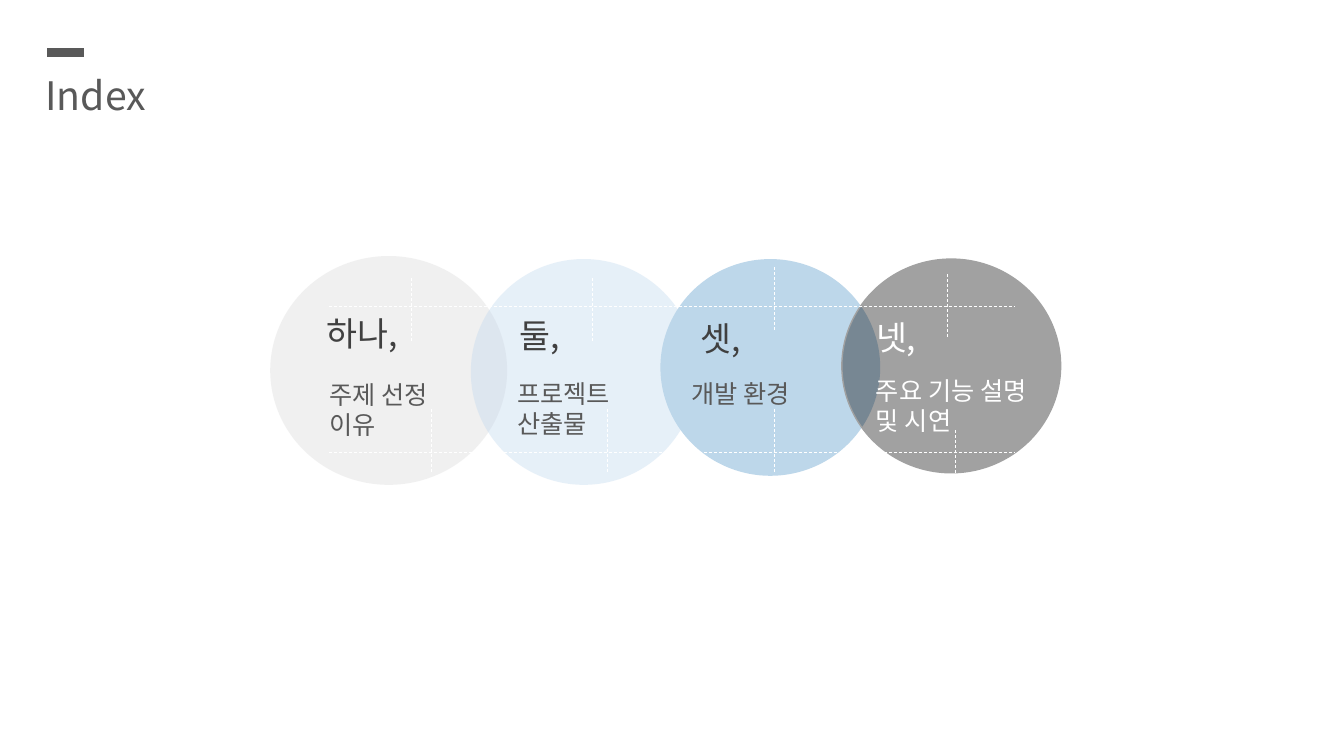
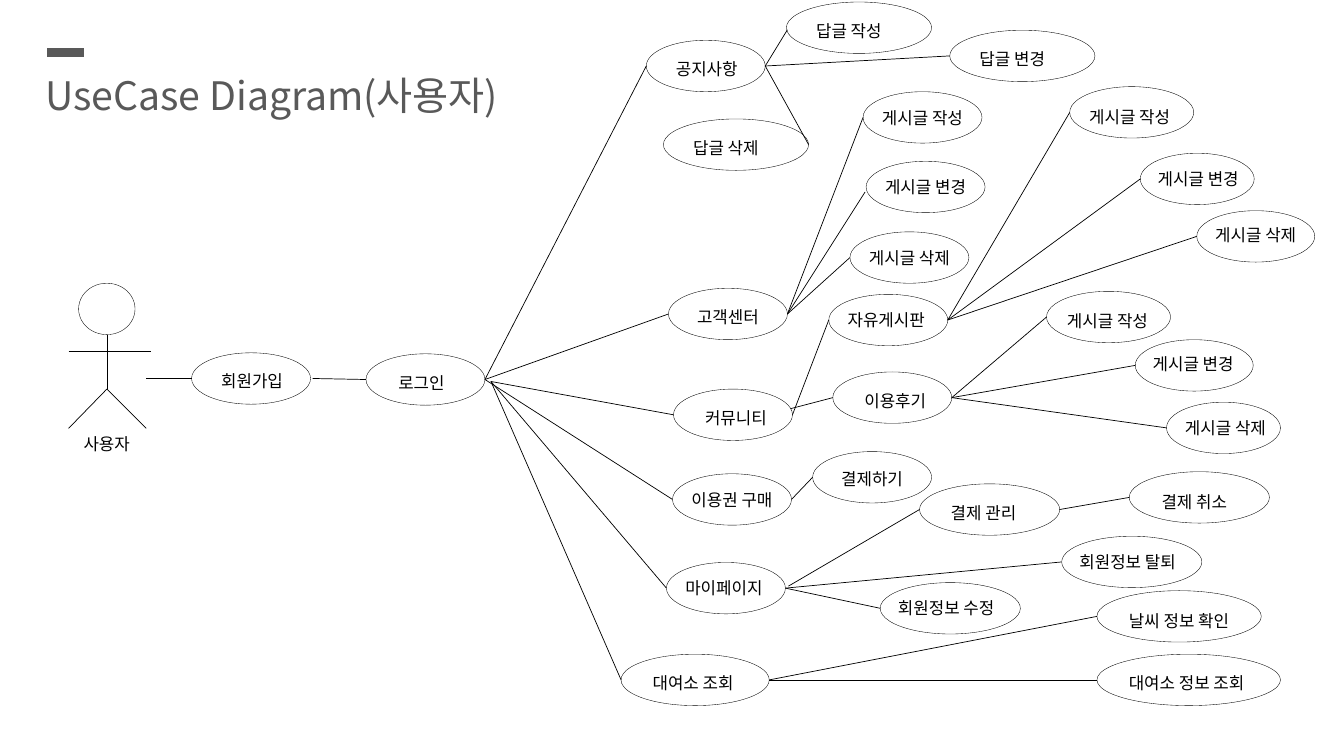
from dataclasses import dataclass
from typing import NamedTuple

from lxml.etree import SubElement
from pptx import Presentation
from pptx.dml.color import RGBColor
from pptx.enum.dml import MSO_LINE
from pptx.enum.shapes import MSO_CONNECTOR, MSO_SHAPE
from pptx.enum.text import MSO_ANCHOR, MSO_AUTO_SIZE, PP_ALIGN
from pptx.oxml.ns import qn
from pptx.util import Inches, Pt

FONT = "Noto Sans CJK KR"
BLACK = RGBColor(0x00, 0x00, 0x00)
WHITE = RGBColor(0xFF, 0xFF, 0xFF)
DARK = RGBColor(0x40, 0x40, 0x40)
GRAY = RGBColor(0x59, 0x59, 0x59)
MID_GRAY = RGBColor(0xA1, 0xA1, 0xA1)
LIGHT_GRAY = RGBColor(0xD9, 0xD9, 0xD9)
PALE_BLUE = RGBColor(0xBD, 0xD7, 0xEE)
SKY_BLUE = RGBColor(0xBD, 0xD7, 0xEA)

OVAL_HEIGHT = 0.51
TICK_LENGTH = 0.63


class Point(NamedTuple):
    x: float
    y: float


class Box(NamedTuple):
    left: float
    top: float
    width: float
    height: float


@dataclass(frozen=True)
class Chapter:
    circle: Box
    fill: RGBColor
    alpha: int
    heading: str
    heading_at: Point
    heading_color: RGBColor
    topic: str
    topic_box: Box
    topic_color: RGBColor
    outline: RGBColor | None = None


@dataclass(frozen=True)
class UseCase:
    label: str
    left: float
    top: float
    width: float = 1.18
    shift: Point = Point(0, 0)  # label offset from the oval's centre

    @property
    def left_end(self) -> Point:
        return Point(self.left, self.top + OVAL_HEIGHT / 2)

    @property
    def right_end(self) -> Point:
        return Point(self.left + self.width, self.top + OVAL_HEIGHT / 2)


class Link(NamedTuple):
    source: str
    target: str
    source_shift: Point = Point(0, 0)
    target_shift: Point = Point(0, 0)
    to_right_end: bool = False


CHAPTERS = [
    Chapter(Box(2.68, 2.54, 2.35, 2.27), LIGHT_GRAY, 37, "하나,", Point(3.14, 3.06), DARK,
            "주제 선정 이유", Box(3.17, 3.71, 1.38, 0.71), GRAY),
    Chapter(Box(4.67, 2.57, 2.24, 2.24), PALE_BLUE, 37, "둘,", Point(5.05, 3.08), DARK,
            "프로젝트\n산출물", Box(5.03, 3.7, 1.73, 0.71), GRAY),
    Chapter(Box(6.55, 2.57, 2.18, 2.15), SKY_BLUE, 100, "셋,", Point(6.85, 3.1), DARK,
            "개발 환경", Box(6.76, 3.7, 1.73, 0.4), GRAY),
    Chapter(Box(8.35, 2.57, 2.17, 2.12), BLACK, 37, "넷,", Point(8.59, 3.09), WHITE,
            "주요 기능 설명 및 시연", Box(8.59, 3.67, 1.94, 0.73), WHITE, MID_GRAY),
]
GUIDE_ROWS = [3.04, 4.49]
TICKS = [Point(4.08, 2.76), Point(5.88, 2.76), Point(7.68, 2.65), Point(9.4, 2.72),
         Point(4.28, 4.06), Point(6.02, 4.06), Point(7.68, 4.06), Point(9.48, 4.27)]

USE_CASES = {
    "join": UseCase("회원가입", 1.9, 3.5, shift=Point(0.01, 0.02)),
    "login": UseCase("로그인", 3.63, 3.51, shift=Point(-0.04, 0.03)),
    # Notices and replies
    "notice": UseCase("공지사항", 6.41, 0.4, shift=Point(0.01, 0.03)),
    "reply_write": UseCase("답글 작성", 7.8, 0.02, 1.44, Point(-0.1, 0.03)),
    "reply_edit": UseCase("답글 변경", 9.42, 0.3, 1.44, Point(-0.1, 0.03)),
    "reply_delete": UseCase("답글 삭제", 6.58, 1.18, 1.44, Point(-0.1, 0.03)),
    # Customer centre
    "support": UseCase("고객센터", 6.63, 2.86, shift=Point(0, 0.03)),
    "support_write": UseCase("게시글 작성", 8.56, 0.91),
    "support_edit": UseCase("게시글 변경", 8.59, 1.6),
    "support_delete": UseCase("게시글 삭제", 8.43, 2.3),
    # Community
    "community": UseCase("커뮤니티", 6.68, 3.86, shift=Point(0.03, 0.03)),
    "board": UseCase("자유게시판", 8.22, 2.92, shift=Point(-0.02, 0)),
    "board_write": UseCase("게시글 작성", 10.61, 0.86, 1.23, Point(-0.02, 0.04)),
    "board_edit": UseCase("게시글 변경", 11.31, 1.52, 1.13, Point(0.01, 0)),
    "board_delete": UseCase("게시글 삭제", 11.87, 2.09, 1.17, Point(0, -0.02)),
    "review": UseCase("이용후기", 8.26, 3.69, shift=Point(0.03, 0.03)),
    "review_write": UseCase("게시글 작성", 10.38, 2.89, 1.23, Point(-0.01, 0.04)),
    "review_edit": UseCase("게시글 변경", 11.26, 3.37, 1.17, Point(-0.01, -0.02)),
    "review_delete": UseCase("게시글 삭제", 11.57, 3.99, 1.13, Point(0.02, 0)),
    # Tickets
    "ticket": UseCase("이용권 구매", 6.67, 4.7),
    "pay": UseCase("결제하기", 8.06, 4.48, shift=Point(0, 0.02)),
    # My page
    "my_page": UseCase("마이페이지", 6.61, 5.58, shift=Point(-0.02, 0)),
    "payments": UseCase("결제 관리", 9.12, 4.8, 1.39, Point(-0.06, 0.03)),
    "pay_cancel": UseCase("결제 취소", 11.2, 4.68, 1.39, Point(-0.05, 0.04)),
    "withdraw": UseCase("회원정보 탈퇴", 10.53, 5.32, 1.39, Point(-0.04, 0)),
    "profile": UseCase("회원정보 수정", 8.73, 5.78, 1.39, Point(-0.04, 0)),
    # Rental stations
    "station": UseCase("대여소 조회", 6.16, 6.49, 1.47, Point(-0.02, 0.03)),
    "weather": UseCase("날씨 정보 확인", 10.88, 5.86, 1.63, Point(0, 0.04)),
    "station_info": UseCase("대여소 정보 조회", 10.88, 6.49, 1.82, Point(-0.02, 0.03)),
}

LOGIN_SHIFT = Point(0.06, 0.02)
LINKS = [
    Link("join", "login", Point(0.02, 0)),
    Link("login", "notice"),
    Link("login", "support"),
    Link("login", "community", LOGIN_SHIFT),
    Link("login", "ticket"),
    Link("login", "my_page", LOGIN_SHIFT),
    Link("login", "station", LOGIN_SHIFT),
    Link("notice", "reply_write", target_shift=Point(0.01, 0.02)),
    Link("notice", "reply_edit"),
    Link("notice", "reply_delete", to_right_end=True),
    Link("support", "support_write"),
    Link("support", "support_edit", target_shift=Point(-0.01, 0.05)),
    Link("support", "support_delete"),
    Link("community", "board"),
    Link("community", "review", Point(-0.02, -0.06)),
    Link("board", "board_write"),
    Link("board", "board_edit"),
    Link("board", "board_delete"),
    Link("review", "review_write"),
    Link("review", "review_edit"),
    Link("review", "review_delete"),
    Link("ticket", "pay"),
    Link("my_page", "payments", Point(0.03, -0.02)),
    Link("my_page", "withdraw"),
    Link("my_page", "profile"),
    Link("payments", "pay_cancel"),
    Link("station", "weather"),
    Link("station", "station_info"),
]

# Stick figure of the user
HIP = Point(1.06, 3.86)
FIGURE_LINES = [
    (Point(0.68, 3.49), Point(1.5, 3.49)),
    (Point(1.06, 3.32), HIP),
    (HIP, Point(1.45, 4.25)),
    (HIP, Point(0.68, 4.25)),
    (Point(1.45, 3.75), Point(1.9, 3.75)),
]


def write_text(text_frame, text: str, *, size: float, color: RGBColor,
               align=PP_ALIGN.LEFT, anchor=MSO_ANCHOR.TOP, wrap: bool = True) -> None:
    text_frame.word_wrap = wrap
    text_frame.auto_size = MSO_AUTO_SIZE.NONE
    text_frame.vertical_anchor = anchor
    text_frame.text = text
    for paragraph in text_frame.paragraphs:
        paragraph.alignment = align
        for run in paragraph.runs:
            run.font.size = Pt(size)
            run.font.name = FONT
            run.font.color.rgb = color
            SubElement(run.font._element, qn("a:ea"), typeface=FONT)


def add_label(slide, text: str, box: Box, **text_format) -> None:
    text_box = slide.shapes.add_textbox(*map(Inches, box))
    write_text(text_box.text_frame, text, **text_format)


def add_line(slide, start: Point, end: Point, *, color: RGBColor = BLACK,
             weight: float = 0.5, dashed: bool = False) -> None:
    connector = slide.shapes.add_connector(MSO_CONNECTOR.STRAIGHT, *map(Inches, start + end))
    connector.line.color.rgb = color
    connector.line.width = Pt(weight)
    if dashed:
        connector.line.dash_style = MSO_LINE.DASH
    SubElement(connector._element.spPr, qn("a:effectLst"))


def add_oval(slide, box: Box, *, fill: RGBColor | None = None, alpha: int = 100,
             outline: RGBColor | None = None, weight: float = 0.25):
    shape = slide.shapes.add_shape(MSO_SHAPE.OVAL, *map(Inches, box))
    shape.shadow.inherit = False
    if fill is None:
        shape.fill.background()
    else:
        shape.fill.solid()
        shape.fill.fore_color.rgb = fill
        if alpha < 100:
            color = shape._element.spPr.find(".//" + qn("a:srgbClr"))
            SubElement(color, qn("a:alpha"), val=str(alpha * 1000))
    if outline is None:
        shape.line.fill.background()
    else:
        shape.line.color.rgb = outline
        shape.line.width = Pt(weight)
    return shape


def add_use_case(slide, case: UseCase) -> None:
    shape = add_oval(slide, Box(case.left, case.top, case.width, OVAL_HEIGHT), outline=BLACK)
    frame = shape.text_frame
    # A one-sided margin moves centred text by half its size
    frame.margin_left = Inches(max(2 * case.shift.x, 0))
    frame.margin_right = Inches(max(-2 * case.shift.x, 0))
    frame.margin_top = Inches(max(2 * case.shift.y, 0))
    frame.margin_bottom = Inches(max(-2 * case.shift.y, 0))
    write_text(frame, case.label, size=12, color=BLACK, align=PP_ALIGN.CENTER,
               anchor=MSO_ANCHOR.MIDDLE, wrap=False)


def moved(point: Point, shift: Point) -> Point:
    return Point(point.x + shift.x, point.y + shift.y)


def add_titled_slide(presentation, title_text: str):
    slide = presentation.slides.add_slide(presentation.slide_layouts[5])
    title = slide.shapes.title
    title.left, title.top = Inches(0.35), Inches(0.66)
    title.width, title.height = Inches(5.67), Inches(0.57)
    write_text(title.text_frame, title_text, size=28, color=GRAY)
    add_line(slide, Point(0.47, 0.52), Point(0.83, 0.52), color=GRAY, weight=6)
    return slide


def build_index(presentation) -> None:
    slide = add_titled_slide(presentation, "Index")
    for chapter in CHAPTERS:
        add_oval(slide, chapter.circle, fill=chapter.fill, alpha=chapter.alpha,
                 outline=chapter.outline, weight=1)
    # Dashed guides
    for row in GUIDE_ROWS:
        add_line(slide, Point(3.26, row), Point(10.07, row), color=WHITE, dashed=True)
    for tick in TICKS:
        add_line(slide, tick, moved(tick, Point(0, TICK_LENGTH)), color=WHITE, dashed=True)
    for chapter in CHAPTERS:
        add_label(slide, chapter.heading, Box(*chapter.heading_at, 1.38, 0.5),
                  size=24, color=chapter.heading_color)
        add_label(slide, chapter.topic, chapter.topic_box, size=18, color=chapter.topic_color)


def build_use_cases(presentation) -> None:
    slide = add_titled_slide(presentation, "UseCase Diagram(사용자)")
    # User
    add_oval(slide, Box(0.78, 2.81, 0.56, OVAL_HEIGHT), outline=BLACK)
    for start, end in FIGURE_LINES:
        add_line(slide, start, end)
    add_label(slide, "사용자", Box(0.73, 4.25, 0.72, 0.3), size=12, color=BLACK)
    # Diagram
    for case in USE_CASES.values():
        add_use_case(slide, case)
    for link in LINKS:
        target = USE_CASES[link.target]
        end = target.right_end if link.to_right_end else target.left_end
        add_line(slide, moved(USE_CASES[link.source].right_end, link.source_shift),
                 moved(end, link.target_shift))


def main() -> None:
    presentation = Presentation()
    presentation.slide_width = Inches(13.33)
    presentation.slide_height = Inches(7.5)
    build_index(presentation)
    build_use_cases(presentation)
    presentation.save("out.pptx")


if __name__ == "__main__":
    main()
